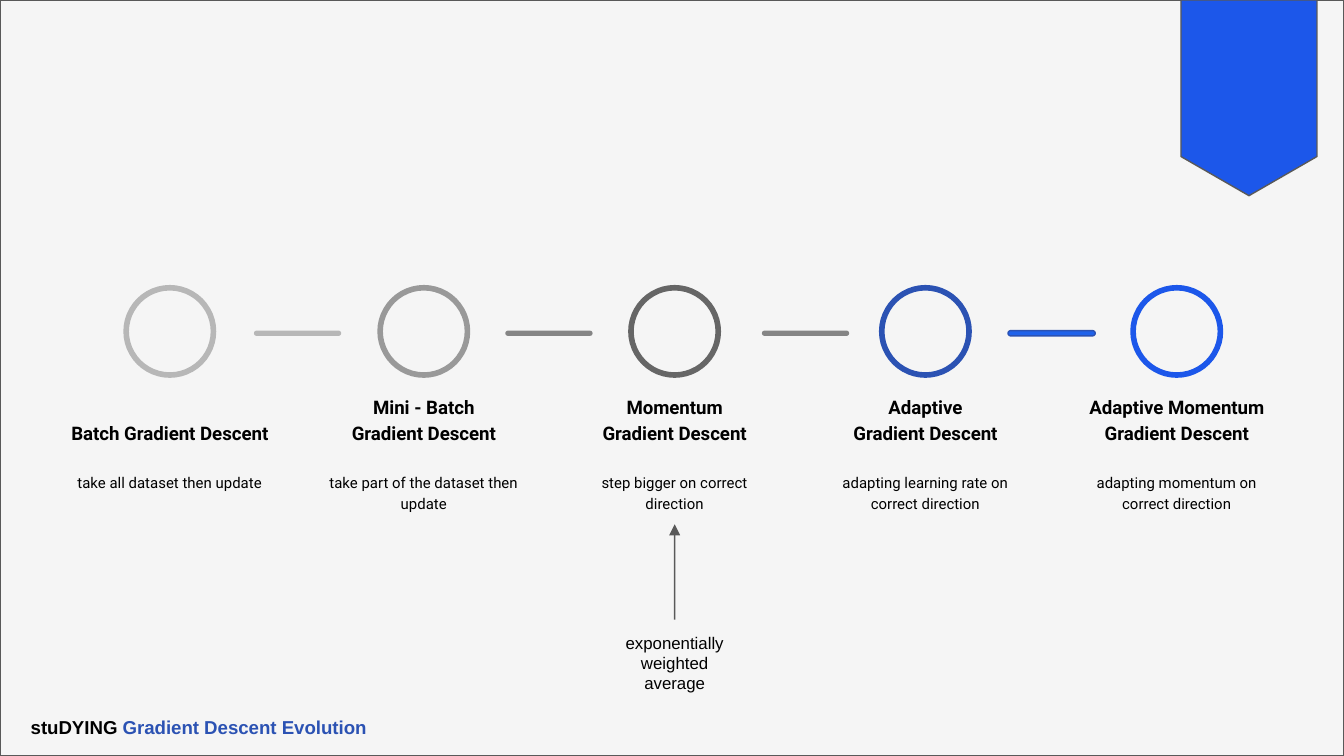
"""Builds a timeline slide on the evolution of gradient descent."""
from dataclasses import dataclass

from lxml.etree import SubElement
from pptx import Presentation
from pptx.dml.color import RGBColor
from pptx.enum.shapes import MSO_CONNECTOR as Connector, MSO_SHAPE as Shape
from pptx.enum.text import MSO_ANCHOR as Anchor, MSO_AUTO_SIZE as AutoSize, PP_ALIGN as Align
from pptx.oxml.ns import qn
from pptx.util import Cm, Pt


@dataclass(frozen=True)
class Theme:
    paper: str = "F5F5F5"
    outline: str = "595959"
    ink: str = "000000"
    navy: str = "2B52B3"
    blue: str = "1C57EA"
    bright: str = "1F62EA"
    silver: str = "B7B7B7"
    grey: str = "999999"
    steel: str = "858585"
    dark: str = "666666"
    plain: str = "Arial"
    label: str = "Roboto"
    heading_size: float = 10
    note_size: float = 9
    detail_size: float = 8
    thin: float = 0.75
    thick: float = 3


THEME = Theme()
WIDTH, HEIGHT = 25.4, 14.29
RING, RING_TOP = 1.65, 5.44
BAR_WIDTH, BAR_HEIGHT, BAR_TOP = 1.65, 0.1, 6.25
COLUMN = 4.4
HEADING_TOP, HEADING_HEIGHT = 7.39, 1.25
DETAIL_TOP, DETAIL_HEIGHT = 8.66, 2.06

TITLE = [("stuDYING ", THEME.ink), ("Gradient Descent Evolution", THEME.navy)]
STAGES = [
    (3.21, THEME.silver, ["Batch Gradient Descent"], "take all dataset then update"),
    (8.01, THEME.grey, ["Mini - Batch", "Gradient Descent"], "take part of the dataset then update"),
    (12.75, THEME.dark, ["Momentum", "Gradient Descent"], "step bigger on correct direction"),
    (17.49, THEME.navy, ["Adaptive", "Gradient Descent"], "adapting learning rate on correct direction"),
    (22.24, THEME.blue, ["Adaptive Momentum", "Gradient Descent"], "adapting momentum on correct direction"),
]
BARS = [
    (4.8, THEME.silver, None),
    (9.55, THEME.steel, None),
    (14.4, THEME.steel, None),
    (19.05, THEME.bright, THEME.navy),
]
NOTE = "exponentially weighted average"
NOTE_CENTRE, NOTE_TOP, ARROW_TIP = 12.75, 11.71, 9.91


def color(value):
    return RGBColor.from_string(value)


def add_shape(slide, kind, place, fill=None, line=None, weight=THEME.thin):
    shape = slide.shapes.add_shape(kind, *map(Cm, place))
    shape.shadow.inherit = False
    if fill:
        shape.fill.solid()
        shape.fill.fore_color.rgb = color(fill)
    else:
        shape.fill.background()
    if line:
        shape.line.color.rgb = color(line)
        shape.line.width = Pt(weight)
    else:
        shape.line.fill.background()
    return shape


def set_frame(box, anchor=Anchor.TOP):
    frame = box.text_frame
    frame.word_wrap = True
    frame.auto_size = AutoSize.NONE
    frame.vertical_anchor = anchor
    frame.margin_left = frame.margin_right = frame.margin_top = frame.margin_bottom = Cm(0.25)
    return frame


def set_font(font, family, size, bold=False):
    font.name, font.size, font.bold = family, Pt(size), bold


def add_text(slide, place, lines, family, size, bold=False, anchor=Anchor.TOP, spacing=1.0):
    box = slide.shapes.add_textbox(*map(Cm, place))
    frame = set_frame(box, anchor)
    for index, line in enumerate(lines):
        para = frame.add_paragraph() if index else frame.paragraphs[0]
        para.text = line
        para.alignment = Align.CENTER
        para.line_spacing = spacing
        set_font(para.font, family, size, bold)
        para.font.color.rgb = color(THEME.ink)
    return box


def set_title(title):
    title.left, title.top, title.width, title.height = map(Cm, (0.33, 13.28, 7.75, 1.0))
    para = set_frame(title).paragraphs[0]
    para.alignment = Align.LEFT
    set_font(para.font, THEME.plain, THEME.heading_size, True)
    for text, tone in TITLE:
        span = para.add_run()
        span.text = text
        span.font.color.rgb = color(tone)


def add_stage(slide, centre, tone, heading, detail):
    left = centre - COLUMN / 2
    add_shape(slide, Shape.OVAL, (centre - RING / 2, RING_TOP, RING, RING), line=tone, weight=THEME.thick)
    add_text(slide, (left, HEADING_TOP, COLUMN, HEADING_HEIGHT), heading,
             THEME.label, THEME.heading_size, True, Anchor.BOTTOM, 1.15)
    add_text(slide, (left, DETAIL_TOP, COLUMN, DETAIL_HEIGHT), [detail],
             THEME.label, THEME.detail_size, spacing=1.15)


def add_note(slide):
    width = 2.92
    note = add_text(slide, (NOTE_CENTRE - width / 2, NOTE_TOP, width, 0.89), [NOTE],
                    THEME.plain, THEME.note_size)
    arrow = slide.shapes.add_connector(Connector.STRAIGHT, Cm(NOTE_CENTRE), Cm(NOTE_TOP),
                                       Cm(NOTE_CENTRE), Cm(ARROW_TIP))
    arrow.begin_connect(note, 0)
    arrow.line.color.rgb = color(THEME.outline)
    arrow.line.width = Pt(THEME.thin)
    SubElement(arrow.line._get_or_add_ln(), qn("a:tailEnd"), type="triangle")
    SubElement(arrow.element.spPr, qn("a:effectLst"))


def main():
    deck = Presentation()
    deck.slide_width, deck.slide_height = Cm(WIDTH), Cm(HEIGHT)
    slide = deck.slides.add_slide(deck.slide_layouts[5])
    title = slide.shapes.title
    set_title(title)
    backdrop = add_shape(slide, Shape.RECTANGLE, (0, 0, WIDTH, HEIGHT), THEME.paper, THEME.outline)
    title.element.addprevious(backdrop.element)
    add_shape(slide, Shape.FLOWCHART_OFFPAGE_CONNECTOR, (22.32, 0, 2.57, 3.7), THEME.blue, THEME.outline)
    for left, fill, line in BARS:
        bar = add_shape(slide, Shape.ROUNDED_RECTANGLE, (left, BAR_TOP, BAR_WIDTH, BAR_HEIGHT), fill, line)
        bar.adjustments[0] = 0.5
    for stage in STAGES:
        add_stage(slide, *stage)
    add_note(slide)
    deck.save("out.pptx")


if __name__ == "__main__":
    main()
